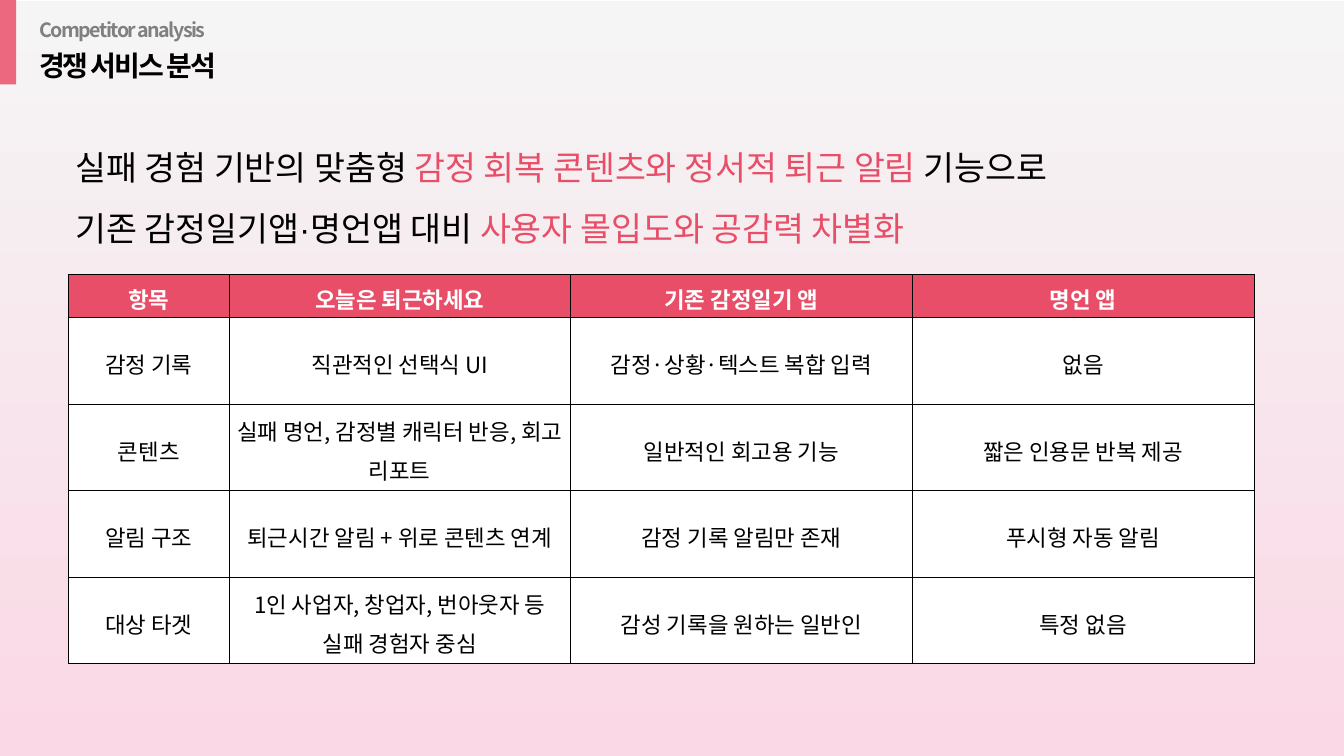
import dataclasses

import pptx
import pptx.dml.color
import pptx.enum.shapes
import pptx.enum.text
import pptx.oxml
import pptx.oxml.ns
import pptx.util

Cm = pptx.util.Cm
Pt = pptx.util.Pt


@dataclasses.dataclass(frozen=True)
class Theme:
    font: str = "Noto Sans CJK KR"
    message_font: str = "Arial"
    black: str = "000000"
    white: str = "FFFFFF"
    grey: str = "808080"
    accent: str = "E84E68"
    marker: str = "EB687E"
    background_top: str = "F5F5F5"
    background_bottom: str = "FAD8E5"
    label_size: int = 14
    table_size: int = 16
    title_size: int = 20
    message_size: int = 24
    border_width: float = 0.28


def rgb(color):
    return pptx.dml.color.RGBColor.from_string(color)


def apply_format(target, values):
    for name, value in values.items():
        setattr(target, name, value)


class SlideBuilder:
    def __init__(self, slide, theme):
        self.slide = slide
        self.theme = theme

    def rectangle(self, left, top, width, height, *colors):
        shape = self.slide.shapes.add_shape(
            pptx.enum.shapes.MSO_SHAPE.RECTANGLE, Cm(left), Cm(top), Cm(width), Cm(height))
        shape.shadow.inherit = False
        shape.line.fill.background()
        if len(colors) == 1:
            shape.fill.solid()
            shape.fill.fore_color.rgb = rgb(colors[0])
            return
        shape.fill.gradient()
        shape.fill.gradient_angle = 270
        for stop, color in zip(shape.fill.gradient_stops, colors):
            stop.color.rgb = rgb(color)

    def run(self, paragraph, text, size, color, font=None, bold=False, spacing=0):
        run = paragraph.add_run()
        run.text = text
        apply_format(run.font, {"name": font or self.theme.font, "size": Pt(size), "bold": bold})
        run.font.color.rgb = rgb(color)
        properties = run.font._element
        if spacing:
            properties.set("spc", str(round(spacing * 100)))
        east_asian = pptx.oxml.parse_xml(
            f'<a:ea {pptx.oxml.ns.nsdecls("a")} typeface="{self.theme.font}"/>')
        properties.find(pptx.oxml.ns.qn("a:latin")).addnext(east_asian)

    def text(self, left, top, width, height, lines, wrap=False, line_spacing=None, **style):
        box = self.slide.shapes.add_textbox(Cm(left), Cm(top), Cm(width), Cm(height))
        frame = box.text_frame
        apply_format(frame, {
            "word_wrap": wrap,
            "auto_size": pptx.enum.text.MSO_AUTO_SIZE.SHAPE_TO_FIT_TEXT,
        })
        for index, line in enumerate(lines):
            paragraph = frame.add_paragraph() if index else frame.paragraphs[0]
            paragraph.line_spacing = line_spacing
            for text, color in line:
                self.run(paragraph, text, color=color, **style)

    def cell(self, cell, text, fill, color, bold):
        apply_format(cell, {
            "margin_left": Cm(0.18), "margin_right": Cm(0.18),
            "margin_top": Cm(0.05), "margin_bottom": Cm(0.05),
            "vertical_anchor": pptx.enum.text.MSO_ANCHOR.MIDDLE,
        })
        properties = cell._tc.get_or_add_tcPr()
        for side in "LRTB":
            properties.append(pptx.oxml.parse_xml(
                f'<a:ln{side} {pptx.oxml.ns.nsdecls("a")} w="{Pt(self.theme.border_width)}">'
                f'<a:solidFill><a:srgbClr val="{self.theme.black}"/></a:solidFill></a:ln{side}>'))
        cell.fill.solid()
        cell.fill.fore_color.rgb = rgb(fill)
        paragraph = cell.text_frame.paragraphs[0]
        apply_format(paragraph, {
            "alignment": pptx.enum.text.PP_ALIGN.CENTER, "line_spacing": 1.2})
        self.run(paragraph, text, self.theme.table_size, color, bold=bold)

    def table(self, left, top, widths, heights, rows):
        table = self.slide.shapes.add_table(
            len(rows), len(widths), Cm(left), Cm(top), Cm(sum(widths)), Cm(sum(heights))).table
        for column, width in zip(table.columns, widths):
            column.width = Cm(width)
        for index, (row, height, texts) in enumerate(zip(table.rows, heights, rows)):
            row.height = Cm(height)
            header = index == 0
            fill = self.theme.accent if header else self.theme.white
            color = self.theme.white if header else self.theme.black
            for cell, text in zip(row.cells, texts):
                self.cell(cell, text, fill, color, header)


COMPARISON = [
    ["항목", "오늘은 퇴근하세요", "기존 감정일기 앱", "명언 앱"],
    ["감정 기록", "직관적인 선택식 UI", "감정·상황·텍스트 복합 입력", "없음"],
    ["콘텐츠", "실패 명언, 감정별 캐릭터 반응, 회고 리포트", "일반적인 회고용 기능", "짧은 인용문 반복 제공"],
    ["알림 구조", "퇴근시간 알림 + 위로 콘텐츠 연계", "감정 기록 알림만 존재", "푸시형 자동 알림"],
    ["대상 타겟", "1인 사업자, 창업자, 번아웃자 등 실패 경험자 중심", "감성 기록을 원하는 일반인", "특정 없음"],
]


def main():
    theme = Theme()
    presentation = pptx.Presentation()
    apply_format(presentation, {"slide_width": Cm(33.87), "slide_height": Cm(19.05)})
    slide = presentation.slides.add_slide(presentation.slide_layouts[6])
    builder = SlideBuilder(slide, theme)

    builder.rectangle(0, 0.02, 33.87, 19.05, theme.background_top, theme.background_bottom)
    builder.text(0.74, 1.09, 5.13, 1.11, [[("경쟁 서비스 분석", theme.black)]],
                 size=theme.title_size, bold=True, spacing=-1.5)
    builder.text(0.74, 0.33, 5, 0.86, [[("Competitor analysis", theme.grey)]],
                 size=theme.label_size, bold=True, spacing=-1.1)
    builder.rectangle(0, 0, 0.41, 2.13, theme.marker)
    builder.table(1.73, 6.91, [4.04] + [8.61] * 3, [1.09] + [2.18] * 4, COMPARISON)
    message = [
        [("실패 경험 기반의 맞춤형 ", theme.black),
         ("감정 회복 콘텐츠와 정서적 퇴근 알림", theme.accent),
         (" 기능으로", theme.black)],
        [("기존 감정일기앱·명언앱 대비 ", theme.black),
         ("사용자 몰입도와 공감력 차별화", theme.accent)],
    ]
    builder.text(1.65, 3.07, 29.11, 3.2, message, wrap=True, line_spacing=1.5,
                 size=theme.message_size, font=theme.message_font)
    presentation.save("out.pptx")


if __name__ == "__main__":
    main()
